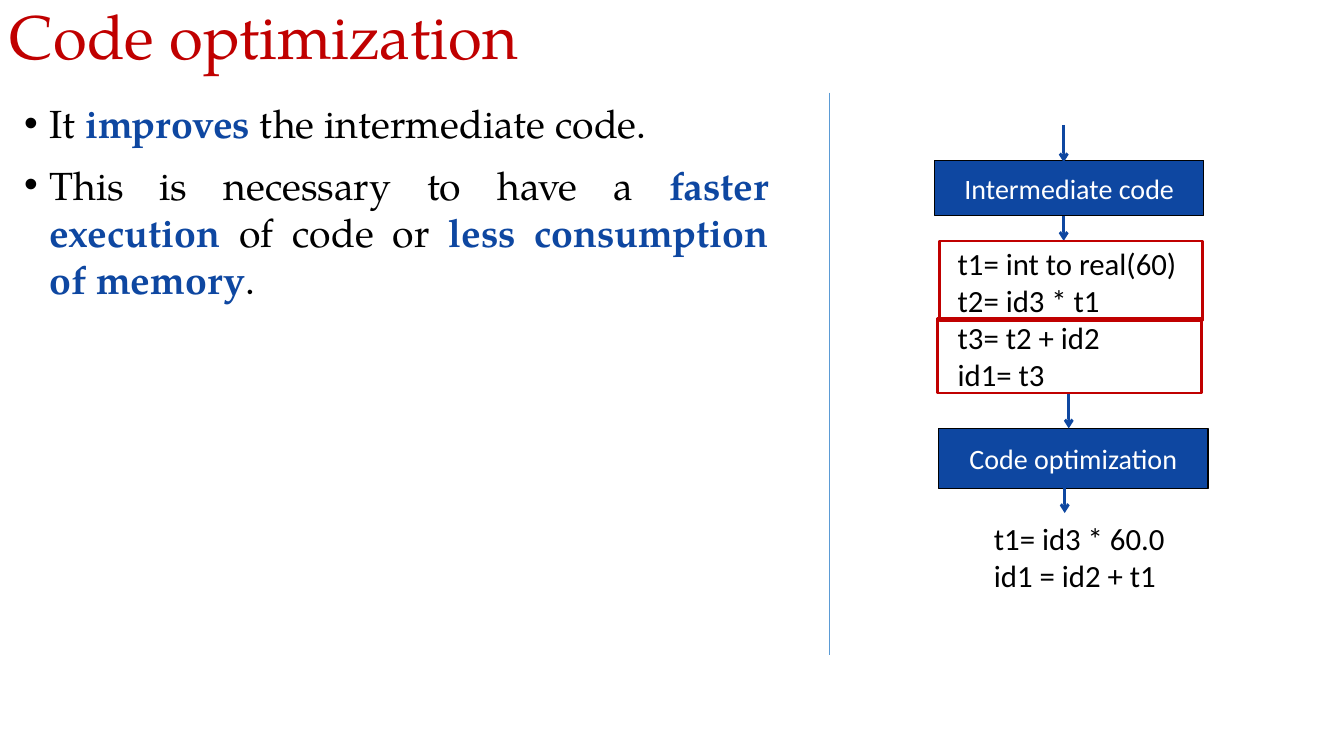
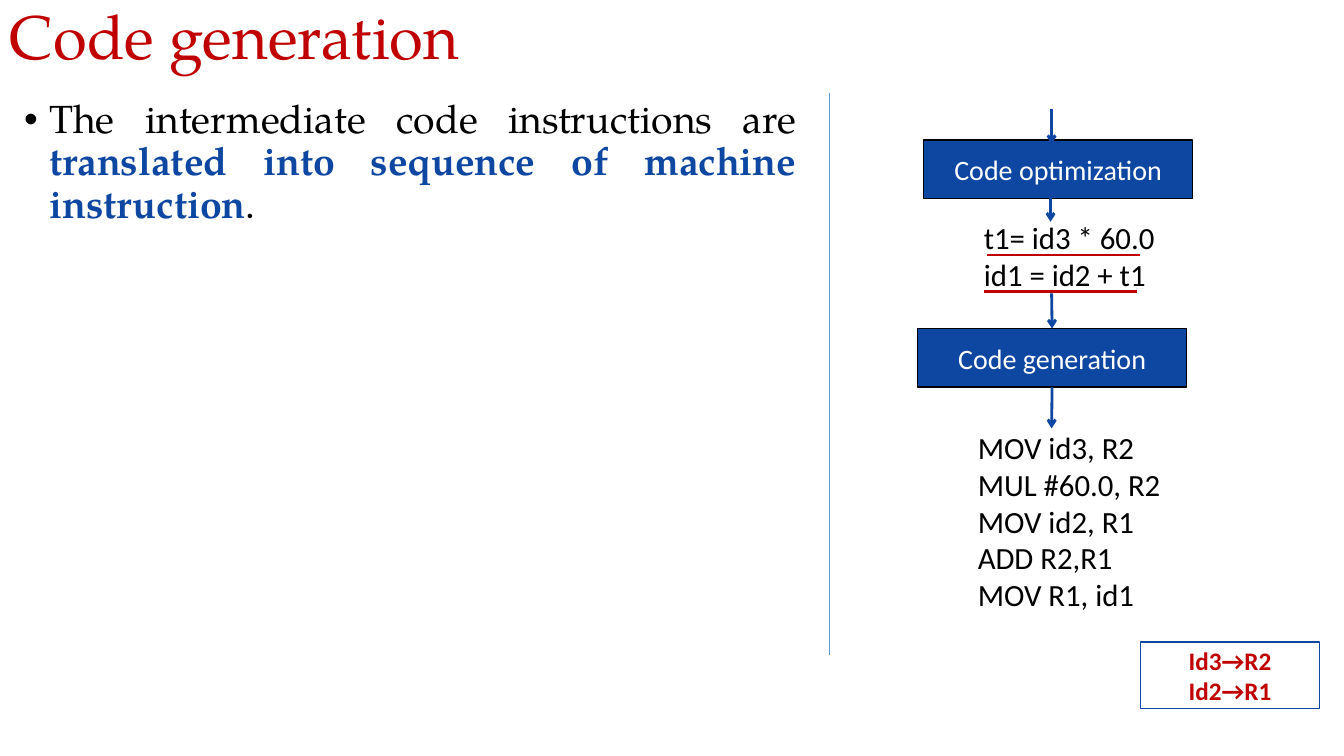
from dataclasses import dataclass

from lxml.etree import SubElement
from pptx import Presentation
from pptx.dml.color import RGBColor
from pptx.enum.shapes import MSO_CONNECTOR, MSO_SHAPE
from pptx.enum.text import MSO_ANCHOR, PP_ALIGN
from pptx.oxml.ns import qn
from pptx.util import Inches, Pt


@dataclass(frozen=True)
class Theme:
    blue: str = "0E47A1"
    red: str = "C00000"
    black: str = "000000"
    white: str = "FFFFFF"
    divider: str = "5B9BD5"
    serif: str = "TeX Gyre Pagella"
    sans: str = "Calibri"
    title: int = 44
    body: int = 28
    code: int = 22
    stage: int = 20
    note: int = 18


T = Theme()
STAGE_W = 2.67
TOP, BOTTOM = 0, 2  # connection sites of a rectangle


# Text
def write(tf, paragraphs, size, font=T.sans, color=T.black, bold=False,
          align=PP_ALIGN.LEFT, anchor=MSO_ANCHOR.TOP, spacing=None,
          before=0, bullet=None):
    """Each paragraph is a list of pieces; every second piece is a key phrase."""
    tf.word_wrap = True
    tf.vertical_anchor = anchor
    for i, pieces in enumerate(paragraphs):
        p = tf.add_paragraph() if i else tf.paragraphs[0]
        p.alignment = align
        if spacing:
            p.line_spacing = spacing
        if i and before:
            p.space_before = Pt(before)
        if bullet:
            pPr = p._p.get_or_add_pPr()
            pPr.set("marL", str(Inches(0.25)))
            pPr.set("indent", str(-Inches(0.25)))
            SubElement(pPr, qn("a:buFont"), typeface="Arial")
            SubElement(pPr, qn("a:buChar"), char=bullet)
        for j, piece in enumerate(pieces):
            key = j % 2 == 1
            r = p.add_run()
            r.text = piece
            r.font.name = font
            r.font.size = Pt(size)
            r.font.bold = bold or key
            r.font.color.rgb = RGBColor.from_string(T.blue if key else color)


def add_text(s, box, paragraphs, **fmt):
    sp = s.shapes.add_textbox(*map(Inches, box))
    write(sp.text_frame, paragraphs, **fmt)


def add_code(s, x, y, w, lines):
    add_text(s, (x, y, w, 0.1 + 0.37 * len(lines)), [[line] for line in lines],
             size=T.code)


# Shapes and lines
def add_rect(s, box, line, width, fill=None):
    sp = s.shapes.add_shape(MSO_SHAPE.RECTANGLE, *map(Inches, box))
    sp.shadow.inherit = False
    if fill:
        sp.fill.solid()
        sp.fill.fore_color.rgb = RGBColor.from_string(fill)
    else:
        sp.fill.background()
    sp.line.color.rgb = RGBColor.from_string(line)
    sp.line.width = Pt(width)
    return sp


def add_stage(s, x, y, h, label):
    sp = add_rect(s, (x, y, STAGE_W, h), T.black, 1, T.blue)
    write(sp.text_frame, [[label]], T.stage, color=T.white,
          align=PP_ALIGN.CENTER, anchor=MSO_ANCHOR.MIDDLE)
    return sp


def add_line(s, x1, y1, x2, y2, color, width):
    cx = s.shapes.add_connector(MSO_CONNECTOR.STRAIGHT,
                                *map(Inches, (x1, y1, x2, y2)))
    cx.line.color.rgb = RGBColor.from_string(color)
    cx.line.width = Pt(width)
    SubElement(cx._element.spPr, qn("a:effectLst"))
    return cx


def add_arrow(s, x, y1, y2):
    cx = add_line(s, x, y1, x, y2, T.blue, 2)
    SubElement(cx.line._get_or_add_ln(), qn("a:tailEnd"), type="arrow")
    return cx


# Shared frame: title, bulleted body, divider
def add_slide(prs, title, body, body_w, spacing=None):
    s = prs.slides.add_slide(prs.slide_layouts[6])
    add_text(s, (0, 0, 13.33, 0.78), [[title]], size=T.title, font=T.serif,
             color=T.red, spacing=0.9, anchor=MSO_ANCHOR.MIDDLE)
    add_text(s, (0.14, 0.94, body_w, 6.11), body, size=T.body, font=T.serif,
             align=PP_ALIGN.JUSTIFY, spacing=spacing, before=10, bullet="•")
    add_line(s, 8.23, 0.92, 8.23, 6.5, T.divider, 0.5)
    return s


def optimization_slide(prs):
    s = add_slide(prs, "Code optimization", [
        ["It ", "improves", " the intermediate code."],
        ["This is necessary to have a ", "faster execution ", "of code or ",
         "less consumption of memory", "."],
    ], 7.58)
    # Pipeline stages
    add_stage(s, 9.27, 1.59, 0.55, "Intermediate code")
    add_stage(s, 9.31, 4.25, 0.6, "Code optimization")
    for x, y1, y2 in ((10.55, 1.24, 1.61), (10.55, 2.14, 2.39),
                      (10.6, 3.9, 4.25), (10.56, 4.84, 5.09)):
        add_arrow(s, x, y1, y2)
    # Code before and after, with the merged pairs outlined
    add_code(s, 9.4, 2.38, 2.54, ["t1= int to real(60)", "t2= id3 * t1",
                                  "t3= t2 + id2", "id1= t3"])
    add_code(s, 9.76, 5.11, 2.17, ["t1= id3 * 60.0", "id1 = id2 + t1"])
    for box in ((9.32, 2.39, 2.61, 0.79), (9.3, 3.16, 2.62, 0.74)):
        add_rect(s, box, T.red, 2)


def generation_slide(prs):
    s = add_slide(prs, "Code generation", [
        ["The intermediate code instructions are ",
         "translated into sequence of machine instruction", "."],
    ], 7.86, spacing=0.9)
    # Pipeline stages
    add_stage(s, 9.16, 1.39, 0.58, "Code optimization")
    generation = add_stage(s, 9.1, 3.26, 0.58, "Code generation")
    add_arrow(s, 10.43, 1.08, 1.43)
    add_arrow(s, 10.42, 1.95, 2.2)
    add_arrow(s, 10.43, 2.91, 3.26).end_connect(generation, TOP)
    add_arrow(s, 10.43, 3.84, 4.25).begin_connect(generation, BOTTOM)
    # Optimized code, underlined, and the machine code
    add_code(s, 9.66, 2.12, 2.17, ["t1= id3 * 60.0", "id1 = id2 + t1"])
    for x, y in ((9.79, 2.53), (9.76, 2.89)):
        add_line(s, x, y, x + 1.52, y, T.red, 2)
    add_code(s, 9.6, 4.2, 2.17, ["MOV id3, R2", "MUL #60.0, R2", "MOV id2, R1",
                                 "ADD R2,R1", "MOV R1, id1"])
    # Register key
    sp = add_rect(s, (11.31, 6.37, 1.78, 0.66), T.blue, 1)
    write(sp.text_frame, [["Id3→R2"], ["Id2→R1"]], T.note, color=T.red,
          bold=True, align=PP_ALIGN.CENTER, anchor=MSO_ANCHOR.MIDDLE)


def main():
    prs = Presentation()
    prs.slide_width, prs.slide_height = Inches(13.33), Inches(7.5)
    optimization_slide(prs)
    generation_slide(prs)
    prs.save("out.pptx")


if __name__ == "__main__":
    main()
